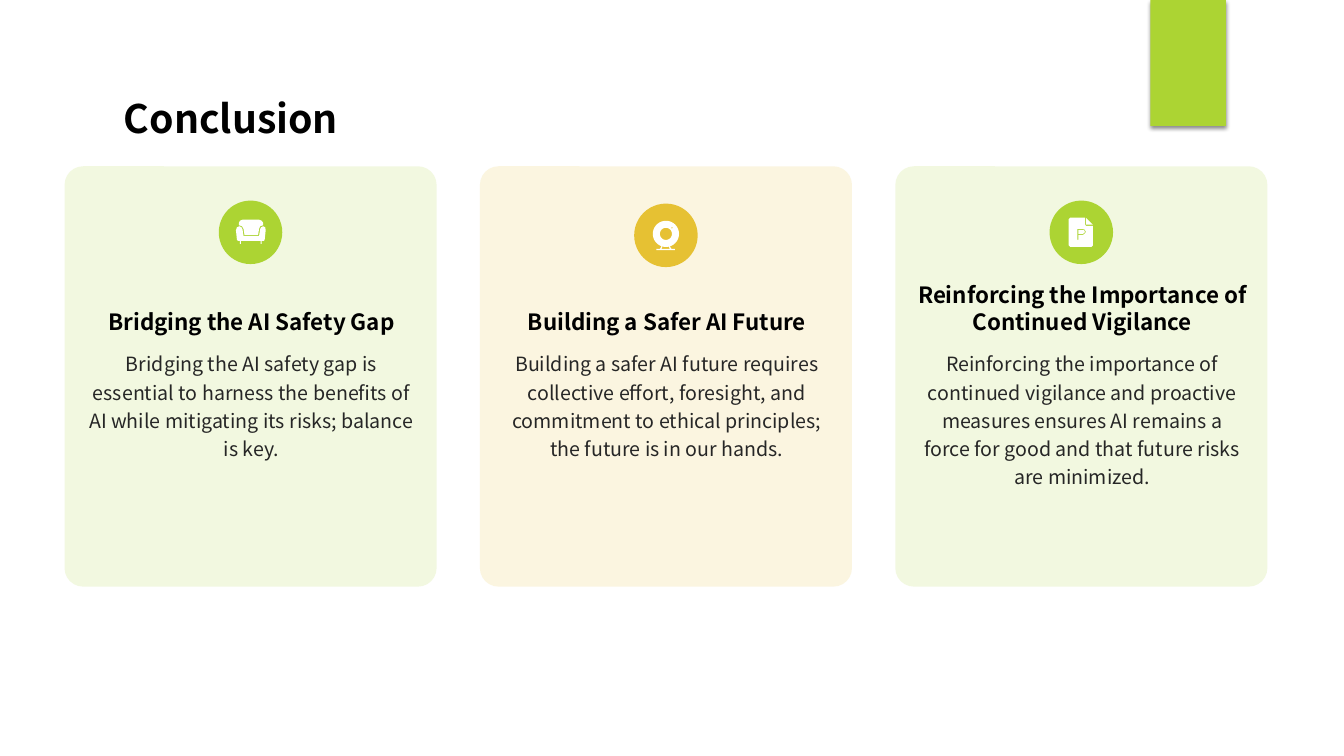
"""Build the conclusion slide with three takeaway cards."""
import math

import lxml.etree
import pptx
import pptx.dml.color
import pptx.enum.shapes
import pptx.enum.text
import pptx.oxml.ns
import pptx.util

SHAPE = pptx.enum.shapes.MSO_SHAPE
ANCHOR = pptx.enum.text.MSO_ANCHOR
ALIGN = pptx.enum.text.PP_ALIGN
LIME = pptx.dml.color.RGBColor(0xAC, 0xD4, 0x33)
GOLD = pptx.dml.color.RGBColor(0xE6, 0xC1, 0x33)
WHITE = pptx.dml.color.RGBColor(0xFF, 0xFF, 0xFF)
BLACK = pptx.dml.color.RGBColor(0x00, 0x00, 0x00)
CHARCOAL = pptx.dml.color.RGBColor(0x26, 0x26, 0x26)
FONT = "Noto Sans CJK SC"

CARD_LEFT, CARD_TOP, CARD_WIDTH, CARD_HEIGHT = 6.4, 16.5, 36.9, 41.7
CARD_PITCH = 41.2
BADGE_SIZE = 6.3


def ring(x, y, radius):
    angles = [math.tau * step / 40 for step in range(40)]
    return [(x + radius * math.cos(a), y + radius * math.sin(a)) for a in angles]


ARMCHAIR = [
    [(1.7, 2.95), (1.8, 2.65), (2.05, 2.55), (2.25, 2.65), (2.35, 2.85),
     (2.45, 3.5), (4.0, 3.5), (4.1, 2.85), (4.2, 2.65), (4.4, 2.55),
     (4.6, 2.65), (4.65, 2.95), (4.55, 3.9), (4.45, 4), (4.25, 4),
     (4.25, 4.3), (4.15, 4.3), (4.15, 4), (2.2, 4), (2.2, 4.3),
     (2.1, 4.3), (2.1, 4), (1.9, 4), (1.8, 3.9)],
    [(2, 2.45), (2, 2.2), (2.1, 2), (2.35, 1.9), (4, 1.9), (4.25, 2),
     (4.4, 2.2), (4.4, 2.45), (4.1, 2.55), (4, 2.8), (3.9, 3.4),
     (2.55, 3.4), (2.45, 2.8), (2.3, 2.55)],
]
WEBCAM = [
    ring(3.15, 3, 1.3), ring(3.15, 3, 0.6), ring(3.75, 2.4, 0.07),
    [(2.7, 4.25), (2.55, 4.5), (2.2, 4.5), (2.2, 4.6), (4.05, 4.6),
     (4.05, 4.5), (3.7, 4.5), (3.55, 4.25), (3.45, 4.3), (3.55, 4.5),
     (2.7, 4.5), (2.8, 4.3)],
]
DOCUMENT = [
    [(1.9, 1.85), (2.05, 1.7), (3.5, 1.7), (3.5, 2.35), (3.6, 2.5),
     (4.3, 2.5), (4.3, 4.45), (4.15, 4.6), (2.05, 4.6), (1.9, 4.45)],
    [(3.6, 1.7), (4.3, 2.4), (3.6, 2.4)],
    [(2.75, 2.8), (3.3, 2.8), (3.5, 2.9), (3.6, 3.1), (3.5, 3.3),
     (3.3, 3.4), (2.85, 3.4), (2.85, 3.9), (2.75, 3.9)],
    [(2.85, 2.9), (3.3, 2.9), (3.45, 2.97), (3.5, 3.1), (3.45, 3.23),
     (3.3, 3.3), (2.85, 3.3)],
]

TAKEAWAYS = [
    ("Bridging the AI Safety Gap",
     "Bridging the AI safety gap is essential to harness the benefits of AI "
     "while mitigating its risks; balance is key.",
     LIME, ARMCHAIR, 19.9),
    ("Building a Safer AI Future",
     "Building a safer AI future requires collective effort, foresight, and "
     "commitment to ethical principles; the future is in our hands.",
     GOLD, WEBCAM, 20.2),
    ("Reinforcing the Importance of Continued Vigilance",
     "Reinforcing the importance of continued vigilance and proactive measures "
     "ensures AI remains a force for good and that future risks are minimized.",
     LIME, DOCUMENT, 19.9),
]


class GridSlide:
    """Draw styled elements on a slide, in grid cells of a tenth of an inch."""

    def __init__(self, slide):
        self.shapes = slide.shapes

    def cells(self, *counts):
        return [pptx.util.Inches(count / 10) for count in counts]

    def paint(self, shape, color, opacity=100):
        shape.shadow.inherit = False
        shape.fill.solid()
        shape.fill.fore_color.rgb = color
        shape.line.fill.background()
        if opacity < 100:
            tint = shape.fill._xPr.find(".//" + pptx.oxml.ns.qn("a:srgbClr"))
            alpha = lxml.etree.SubElement(tint, pptx.oxml.ns.qn("a:alpha"))
            alpha.set("val", str(opacity * 1000))
        return shape

    def block(self, kind, left, top, width, height, color, opacity=100):
        shape = self.shapes.add_shape(kind, *self.cells(left, top, width, height))
        return self.paint(shape, color, opacity)

    def tab(self, left, top, width, height, color):
        marker = self.block(SHAPE.RECTANGLE, left, top, width, height, color)
        effects = marker._element.spPr.find(pptx.oxml.ns.qn("a:effectLst"))
        effects.append(pptx.oxml.parse_xml(
            f'<a:outerShdw {pptx.oxml.ns.nsdecls("a")} blurRad="38100" dist="25400" '
            'dir="5400000" rotWithShape="0"><a:srgbClr val="000000">'
            '<a:alpha val="45000"/></a:srgbClr></a:outerShdw>'))

    def text(self, left, top, width, height, words, size, color, bold=False,
             align=ALIGN.CENTER, anchor=ANCHOR.TOP, spacing=1.0):
        box = self.shapes.add_textbox(*self.cells(left, top, width, height))
        frame = box.text_frame
        frame.word_wrap = True
        frame.vertical_anchor = anchor
        frame.text = words
        paragraph = frame.paragraphs[0]
        paragraph.alignment = align
        paragraph.line_spacing = spacing
        font = paragraph.runs[0].font
        font.name, font.size, font.bold = FONT, pptx.util.Pt(size), bold
        font.color.rgb = color

    def icon(self, left, top, contours):
        outlines = [[self.cells(left + x, top + y) for x, y in contour]
                    for contour in contours]
        builder = self.shapes.build_freeform(*outlines[0][0])
        for index, (start, *rest) in enumerate(outlines):
            if index:
                builder.move_to(*start)
            builder.add_line_segments(rest, close=True)
        self.paint(builder.convert_to_shape(), WHITE)

    def card(self, left, heading, detail, color, contours, badge_top):
        panel = self.block(SHAPE.ROUNDED_RECTANGLE, left, CARD_TOP,
                           CARD_WIDTH, CARD_HEIGHT, color, 15)
        panel.adjustments[0] = 0.05
        self.text(left + 1.2, 30, 34.7, 3.7, heading, 16, BLACK, bold=True,
                  anchor=ANCHOR.BOTTOM)
        self.text(left + 1.2, 34, 34.7, 7.2, detail, 14, CHARCOAL, spacing=1.2)
        badge_left = left + (CARD_WIDTH - BADGE_SIZE) / 2
        self.block(SHAPE.OVAL, badge_left, badge_top, BADGE_SIZE, BADGE_SIZE, color)
        self.icon(badge_left, badge_top, contours)


def main():
    deck = pptx.Presentation()
    deck.slide_width = pptx.util.Inches(13.33)
    deck.slide_height = pptx.util.Inches(7.5)
    conclusion = GridSlide(deck.slides.add_slide(deck.slide_layouts[6]))
    conclusion.tab(114.1, 0, 7.5, 12.5, LIME)
    for column, takeaway in enumerate(TAKEAWAYS):
        conclusion.card(CARD_LEFT + column * CARD_PITCH, *takeaway)
    conclusion.text(11.3, 6.8, 95.8, 7.7, "Conclusion", 28, BLACK, bold=True,
                    align=ALIGN.LEFT, anchor=ANCHOR.BOTTOM)
    deck.save("out.pptx")


if __name__ == "__main__":
    main()
